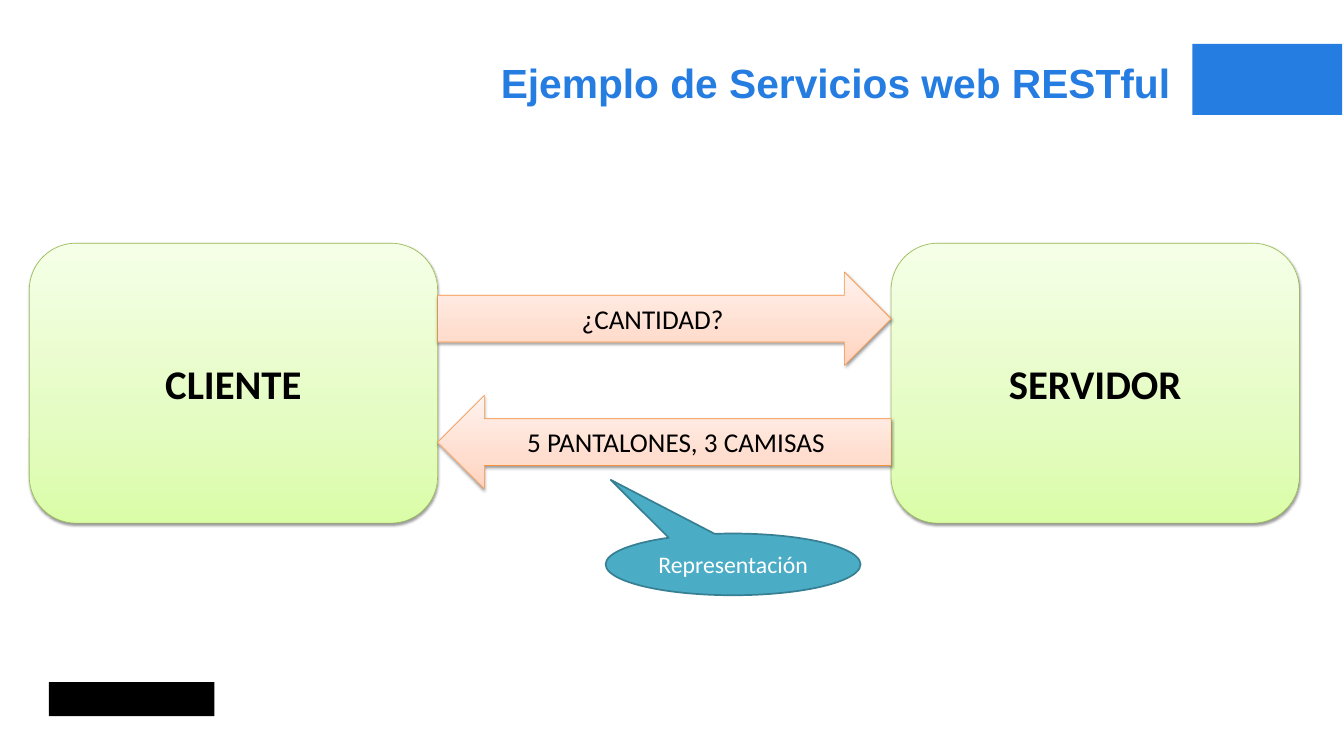
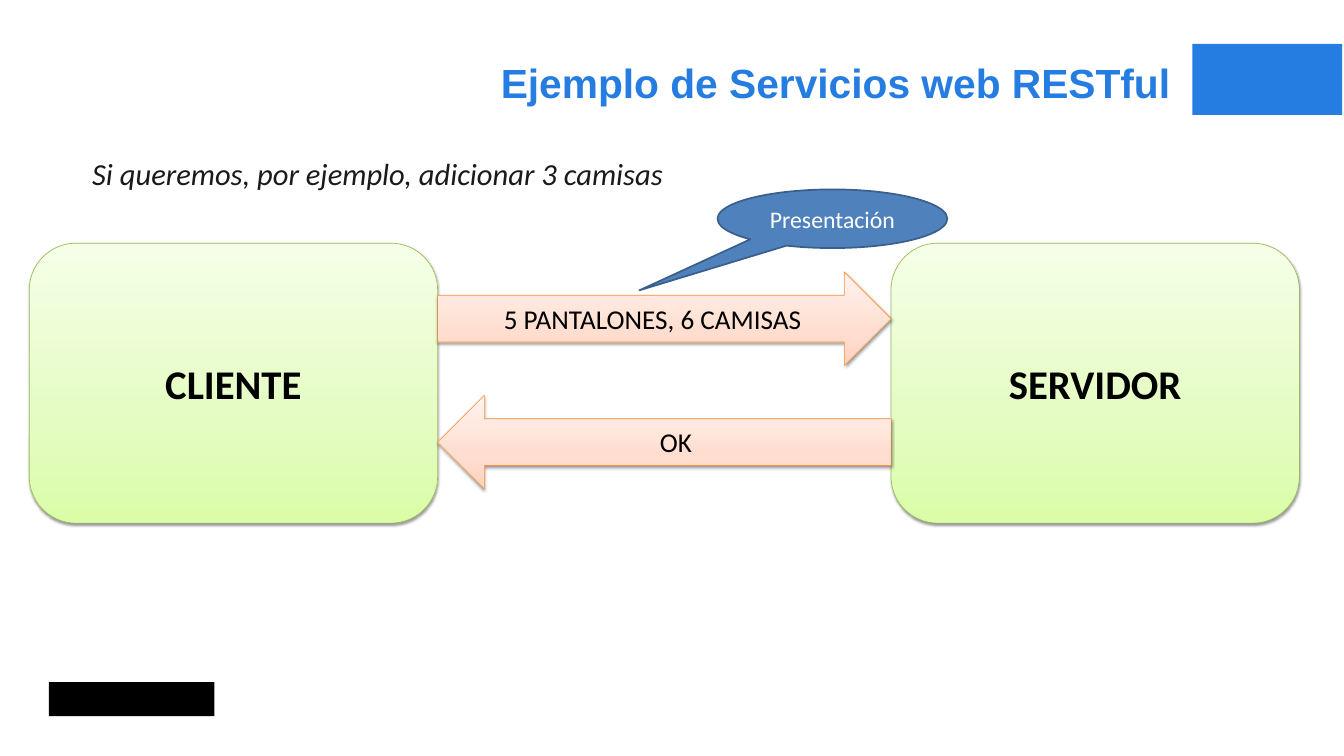
import copy

import lxml.etree
import pptx
import pptx.dml.color
import pptx.enum.shapes
import pptx.enum.text
import pptx.oxml.ns
import pptx.util

Inches = pptx.util.Inches
Pt = pptx.util.Pt
qn = pptx.oxml.ns.qn
PRESET = pptx.enum.shapes.MSO_SHAPE
ALIGN = pptx.enum.text.PP_ALIGN
ANCHOR = pptx.enum.text.MSO_ANCHOR

SLIDE_WIDTH, SLIDE_HEIGHT = 21.99, 12.37
BLUE, BLACK, WHITE = "257CE1", "000000", "FFFFFF"
GREEN_STOPS = [(0, "DAFDA7"), (0.35, "E4FCC2"), (1, "F5FFE7")]
PEACH_STOPS = [(0, "FFD2BD"), (0.35, "FFDED0"), (1, "FFF2ED")]

TITLE_FONT = {"name": "Arial", "size": Pt(48), "bold": True}
NODE_FONT = {"name": "Calibri", "size": Pt(48), "bold": True}
MESSAGE_FONT = {"name": "Calibri", "size": Pt(32)}
NOTE_FONT = {"name": "Calibri", "size": Pt(36), "italic": True}
CALLOUT_FONT = {"name": "Calibri", "size": Pt(28)}

NODE_WIDTH, NODE_HEIGHT, NODE_TOP = 6.68, 4.58, 3.98
CLIENT_LEFT, SERVER_LEFT = 0.48, 14.58
ARROW_LEFT = CLIENT_LEFT + NODE_WIDTH
ARROW_WIDTH, ARROW_HEIGHT = SERVER_LEFT - ARROW_LEFT, 1.53
REQUEST_TOP, RESPONSE_TOP = 4.45, 6.47


def rgb(value):
    """Return the colour for a hex string."""
    return pptx.dml.color.RGBColor.from_string(value)


class Deck:
    """Hold the presentation style and the current slide."""

    def __init__(self):
        """Start an empty presentation of the right size."""
        self.presentation = pptx.Presentation()
        self.presentation.slide_width = Inches(SLIDE_WIDTH)
        self.presentation.slide_height = Inches(SLIDE_HEIGHT)
        self.slide = None

    def label(self, frame, text, font, color, align):
        """Put one styled paragraph in a text frame."""
        frame.word_wrap = True
        paragraph = frame.paragraphs[0]
        paragraph.alignment = align
        run = paragraph.add_run()
        run.text = text
        for attribute, value in font.items():
            setattr(run.font, attribute, value)
        run.font.color.rgb = rgb(color)

    def text(self, box, text, font, color, align, margins=None):
        """Add a text box."""
        frame = self.slide.shapes.add_textbox(*map(Inches, box)).text_frame
        for attribute, value in (margins or {}).items():
            setattr(frame, attribute, value)
        self.label(frame, text, font, color, align)

    def shape(self, preset, box, line=None, line_width=0.75):
        """Add a preset shape without shadow."""
        shape = self.slide.shapes.add_shape(preset, *map(Inches, box))
        shape.shadow.inherit = False
        if line:
            shape.line.color.rgb = rgb(line)
            shape.line.width = Pt(line_width)
        else:
            shape.line.fill.background()
        return shape

    def block(self, box, color):
        """Add a plain filled rectangle."""
        block = self.shape(PRESET.RECTANGLE, box)
        block.fill.solid()
        block.fill.fore_color.rgb = rgb(color)

    def shade(self, shape, stops):
        """Give a shape a rising gradient and a soft shadow."""
        properties = shape._element.spPr
        shape.fill.gradient()
        shape.fill.gradient_angle = 90
        stop_list = properties.find(qn("a:gradFill")).find(qn("a:gsLst"))
        stop_list.append(copy.deepcopy(stop_list[-1]))
        for stop, (position, color) in zip(shape.fill.gradient_stops, stops):
            stop.position = position
            stop.color.rgb = rgb(color)
        shadow = lxml.etree.SubElement(
            properties.find(qn("a:effectLst")), qn("a:outerShdw"),
            blurRad=str(Pt(3.1)), dist=str(Pt(1.6)), dir="5400000", rotWithShape="0")
        tint = lxml.etree.SubElement(shadow, qn("a:srgbClr"), val=BLACK)
        lxml.etree.SubElement(tint, qn("a:alpha"), val="38000")

    def node(self, left, text):
        """Add one of the two communicating parties."""
        node = self.shape(PRESET.ROUNDED_RECTANGLE,
                          (left, NODE_TOP, NODE_WIDTH, NODE_HEIGHT), "98B955")
        self.shade(node, GREEN_STOPS)
        self.label(node.text_frame, text, NODE_FONT, BLACK, ALIGN.CENTER)

    def message(self, preset, top, text):
        """Add a block arrow between the parties."""
        message = self.shape(preset, (ARROW_LEFT, top, ARROW_WIDTH, ARROW_HEIGHT), "F69240")
        self.shade(message, PEACH_STOPS)
        self.label(message.text_frame, text, MESSAGE_FONT, BLACK, ALIGN.CENTER)

    def callout(self, box, tip, text, fill, line):
        """Add an oval callout pointing at a message."""
        callout = self.shape(PRESET.OVAL_CALLOUT, box, line, 2)
        callout.adjustments[0], callout.adjustments[1] = tip
        callout.fill.solid()
        callout.fill.fore_color.rgb = rgb(fill)
        callout.text_frame.vertical_anchor = ANCHOR.MIDDLE
        self.label(callout.text_frame, text, CALLOUT_FONT, WHITE, ALIGN.CENTER)

    def exchange(self, request, response):
        """Start a slide with its frame and a request and response pair."""
        self.slide = self.presentation.slides.add_slide(self.presentation.slide_layouts[6])
        self.block((0.8, 11.16, 2.71, 0.56), BLACK)
        self.block((19.51, 0.72, 2.45, 1.16), BLUE)
        margins = dict.fromkeys(
            ("margin_left", "margin_top", "margin_right", "margin_bottom"), 0)
        self.text((5.08, 0.94, 14.08, 0.81), "Ejemplo de Servicios web RESTful",
                  TITLE_FONT, BLUE, ALIGN.RIGHT, margins)
        self.node(CLIENT_LEFT, "CLIENTE")
        self.node(SERVER_LEFT, "SERVIDOR")
        self.message(PRESET.RIGHT_ARROW, REQUEST_TOP, request)
        self.message(PRESET.LEFT_ARROW, RESPONSE_TOP, response)


def main():
    """Build both slides and save them."""
    deck = Deck()
    deck.exchange("¿CANTIDAD?", "5 PANTALONES, 3 CAMISAS")
    deck.callout((9.91, 8.73, 4.17, 1.01), (-0.48, -1.37),
                 "Representación", "4BACC6", "377F92")

    deck.exchange("5 PANTALONES, 6 CAMISAS", "OK")
    deck.text((1.41, 2.48, 11.5, 0.71), "Si queremos, por ejemplo, adicionar 3 camisas",
              NOTE_FONT, "1A1A1A", ALIGN.JUSTIFY)
    deck.callout((11.74, 3.1, 3.76, 0.96), (-0.84, 1.22),
                 "Presentación", "4F81BD", "3A5F8C")
    deck.presentation.save("out.pptx")


if __name__ == "__main__":
    main()
